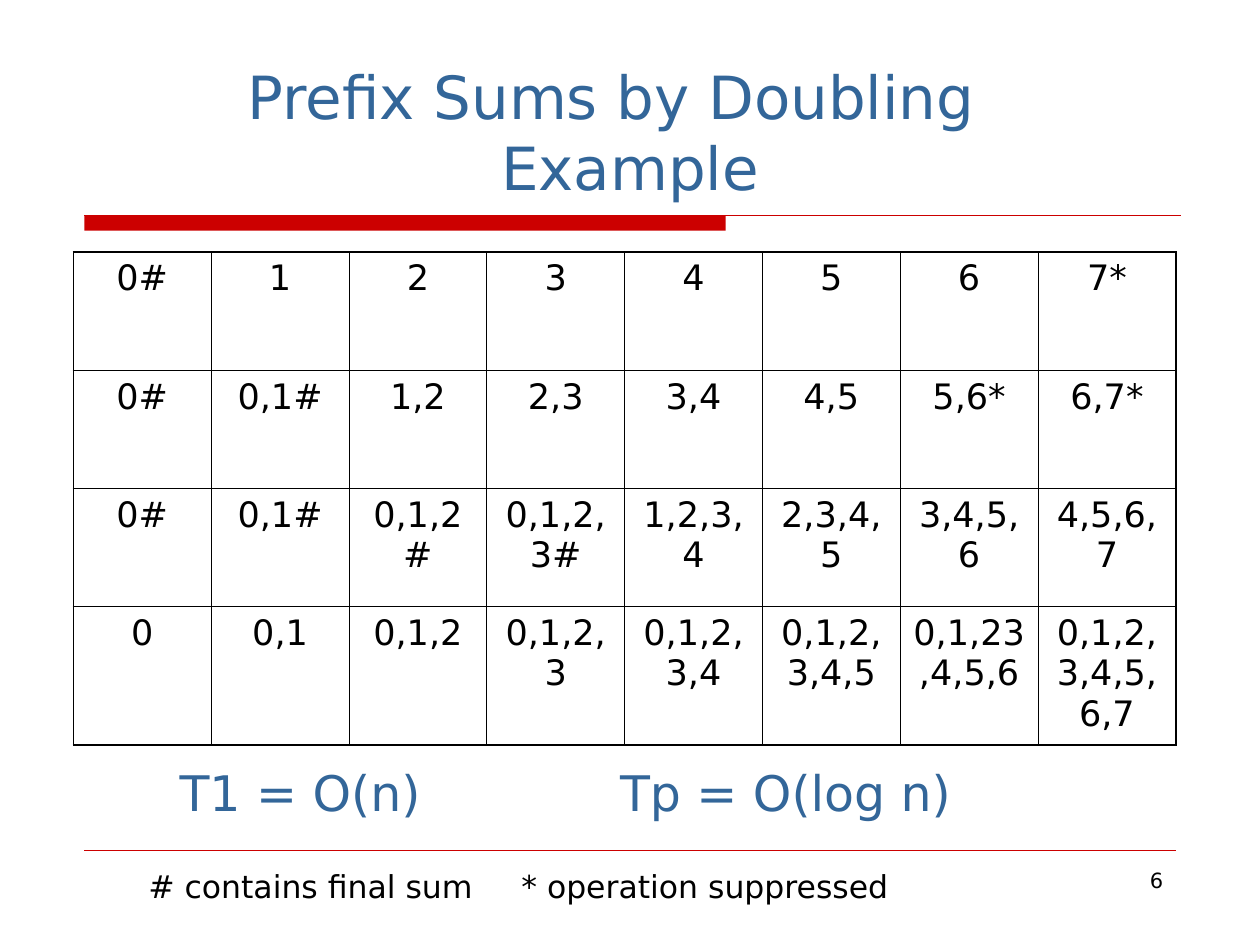
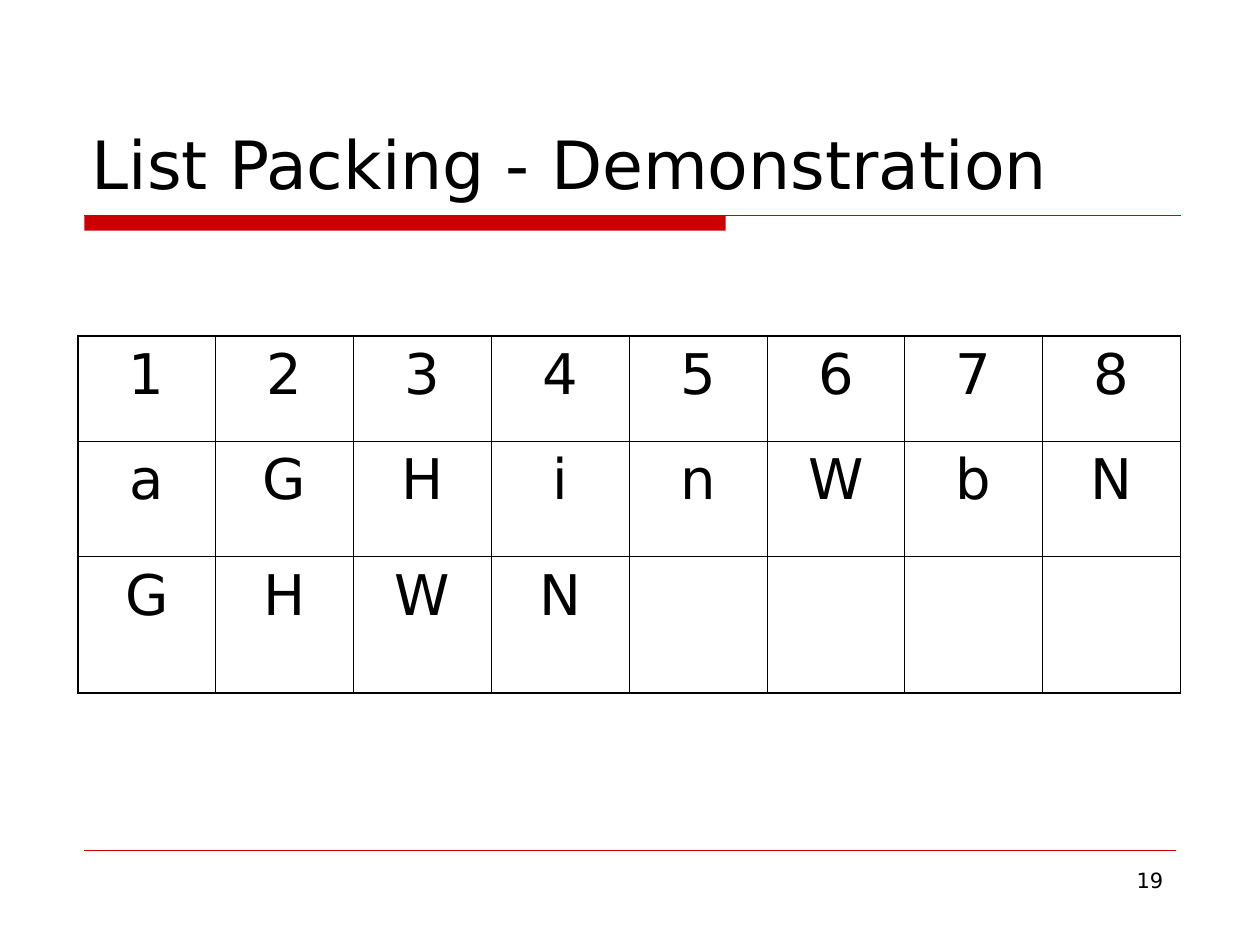
from lxml.etree import SubElement
from pptx import Presentation
from pptx.dml.color import RGBColor
from pptx.enum.shapes import MSO_CONNECTOR, MSO_SHAPE
from pptx.enum.text import MSO_ANCHOR, PP_ALIGN
from pptx.oxml.ns import qn
from pptx.util import Cm, Pt

RED = RGBColor(0xCC, 0x00, 0x00)
BLUE = RGBColor(0x33, 0x66, 0x99)
BLACK = RGBColor(0x00, 0x00, 0x00)
FONT = "DejaVu Sans"
INSET_X, INSET_Y = 0.25, 0.13
OUTER, INNER = Pt(1.08), Pt(0.45)

TITLE_BOX = (1.6, 0.84, 22.23, 3.38)
BAND_BOX = (1.7, 4.34, 22.1, 0.31)
FOOTER_BOX = (1.7, 17.15, 22.0, 1.53)
SUMS_BOX = (1.48, 5.08, 22.23)
PACKING_BOX = (1.57, 6.77, 22.23)
COST_BOX = (2.11, 15.24, 18.85, 1.45)
LEGEND_BOX = (2.74, 17.35, 15.88, 1.02)

SUMS = [
    ["0#", "1", "2", "3", "4", "5", "6", "7*"],
    ["0#", "0,1#", "1,2", "2,3", "3,4", "4,5", "5,6*", "6,7*"],
    ["0#", "0,1#", "0,1,2#", "0,1,2,3#", "1,2,3,4", "2,3,4,5", "3,4,5,6", "4,5,6,7"],
    ["0", "0,1", "0,1,2", "0,1,2,3", "0,1,2,3,4", "0,1,2,3,4,5", "0,1,23,4,5,6",
     "0,1,2,3,4,5,6,7"],
]
PACKING = [list("12345678"), list("aGHinWbN"), list("GHWN") + [""] * 4]


def set_all(target, values):
    for name, value in values.items():
        setattr(target, name, value)


def add_run(p, text, size, color):
    r = p.add_run()
    r.text = text
    set_all(r.font, {"name": FONT, "size": Pt(size), "bold": False})
    r.font.color.rgb = color


def add_text(s, box, text, size, color=BLACK, align=PP_ALIGN.LEFT,
             anchor=MSO_ANCHOR.TOP, left=INSET_X, right=INSET_X, hang=0, tab=None):
    tf = s.shapes.add_textbox(*map(Cm, box)).text_frame
    set_all(tf, {"word_wrap": True, "vertical_anchor": anchor,
                 "margin_left": Cm(left), "margin_right": Cm(right),
                 "margin_top": Cm(INSET_Y), "margin_bottom": Cm(INSET_Y)})
    p = tf.paragraphs[0]
    p.alignment = align
    pPr = p._p.get_or_add_pPr()
    if hang:
        pPr.set("marL", str(Cm(hang)))
        pPr.set("indent", str(Cm(-hang)))
    if tab:
        tabs = SubElement(pPr, qn("a:tabLst"))
        SubElement(tabs, qn("a:tab"), pos=str(Cm(tab)), algn="l")
    for i, line in enumerate(text.split("\n")):
        if i:
            p.add_line_break()
        add_run(p, line, size, color)


def add_rule(s, x, y, width, weight):
    line = s.shapes.add_connector(MSO_CONNECTOR.STRAIGHT, Cm(x), Cm(y), Cm(x + width), Cm(y))
    line.line.color.rgb = RED
    line.line.width = Pt(weight)
    SubElement(line._element.spPr, qn("a:effectLst"))


def add_band(s, box):
    x, y, width, height = box
    sp = s.shapes.add_shape(MSO_SHAPE.RECTANGLE, Cm(x), Cm(y), Cm(12.93), Cm(height))
    sp.shadow.inherit = False
    sp.fill.solid()
    sp.fill.fore_color.rgb = RED
    sp.line.fill.background()
    add_rule(s, x, y, width, 0.75)


def add_footer(s, box, number):
    x, y, width, height = box
    add_rule(s, x, y, width, 0.25)
    add_text(s, (x + width - 5.5, y + 0.2, 5.5, height - 0.2), str(number), 12,
             align=PP_ALIGN.RIGHT)


def add_border(cell, side, width):
    ln = SubElement(cell._tc.get_or_add_tcPr(), qn(f"a:ln{side}"), w=str(width))
    fill = SubElement(ln, qn("a:solidFill"))
    SubElement(fill, qn("a:srgbClr"), val=str(BLACK))


def add_grid(s, box, rows, heights, size):
    x, y, width = box
    n_rows, n_cols = len(rows), len(rows[0])
    table = s.shapes.add_table(n_rows, n_cols, Cm(x), Cm(y), Cm(width), Cm(sum(heights))).table
    set_all(table, {"first_row": False, "horz_banding": False})
    for col in table.columns:
        col.width = Cm(width) // n_cols
    for i, (values, height) in enumerate(zip(rows, heights)):
        table.rows[i].height = Cm(height)
        for j, value in enumerate(values):
            cell = table.cell(i, j)
            set_all(cell, {"margin_left": Cm(INSET_X), "margin_right": Cm(INSET_X),
                           "margin_top": Cm(INSET_Y), "margin_bottom": Cm(INSET_Y)})
            edges = {"L": j == 0, "R": j == n_cols - 1, "T": i == 0, "B": i == n_rows - 1}
            for side, outer in edges.items():
                add_border(cell, side, OUTER if outer else INNER)
            cell.fill.background()
            if value:
                p = cell.text_frame.paragraphs[0]
                p.alignment = PP_ALIGN.CENTER
                add_run(p, value, size, BLACK)


def add_slide(prs, number, title, size, **title_format):
    s = prs.slides.add_slide(prs.slide_layouts[6])
    add_band(s, BAND_BOX)
    add_footer(s, FOOTER_BOX, number)
    add_text(s, TITLE_BOX, title, size, anchor=MSO_ANCHOR.BOTTOM, **title_format)
    return s


def add_sums_slide(prs):
    s = add_slide(prs, 6, "Prefix Sums by Doubling\nExample", 34, color=BLUE,
                  align=PP_ALIGN.CENTER, left=0, right=0.78, hang=0.76)
    add_grid(s, SUMS_BOX, SUMS, [2.38, 2.38, 2.38, 2.79], 20)
    add_text(s, LEGEND_BOX, "# contains final sum\t* operation suppressed", 18, tab=7.52)
    add_text(s, COST_BOX, "T1 = O(n)\tTp = O(log n)", 28, BLUE, left=1.51, tab=8.88)


def add_packing_slide(prs):
    s = add_slide(prs, 19, "List Packing - Demonstration", 38)
    add_grid(s, PACKING_BOX, PACKING, [2.12, 2.33, 2.75], 32)


def main():
    prs = Presentation()
    set_all(prs, {"slide_width": Cm(25.4), "slide_height": Cm(19.05)})
    add_sums_slide(prs)
    add_packing_slide(prs)
    prs.save("out.pptx")


if __name__ == "__main__":
    main()
